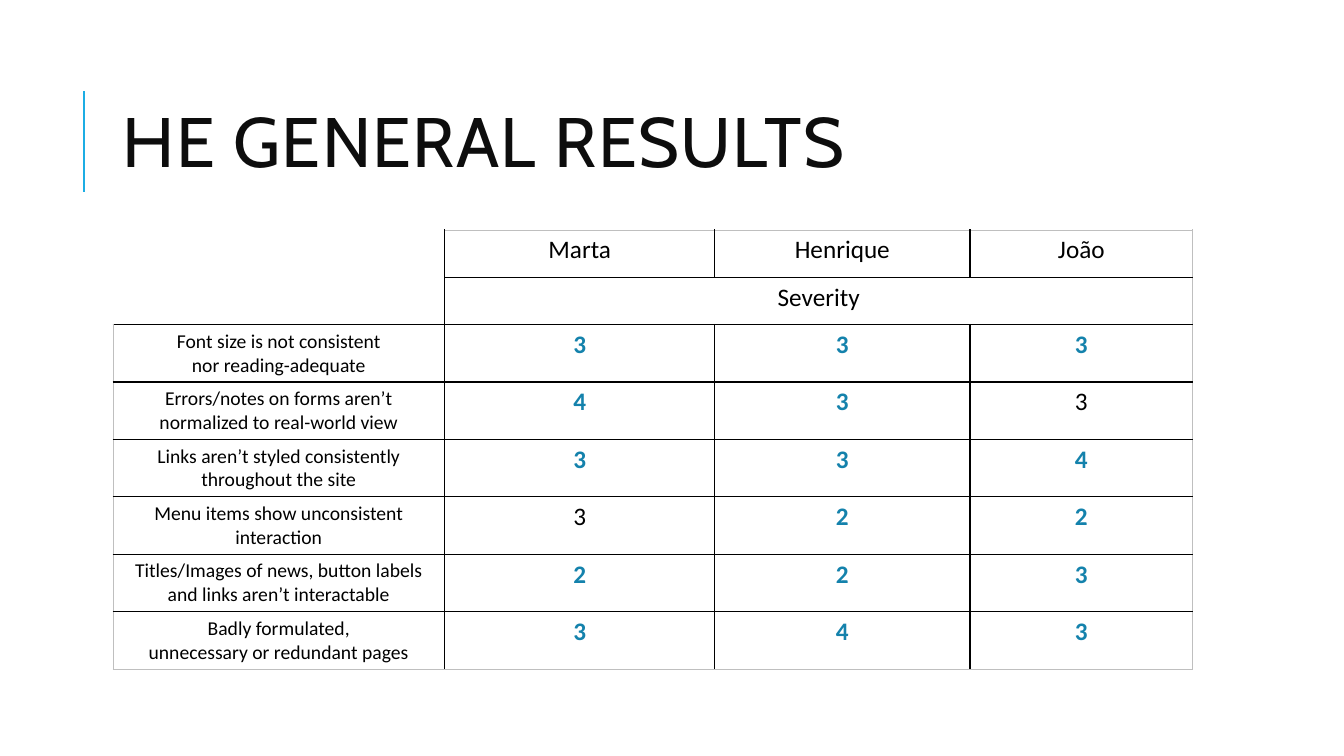
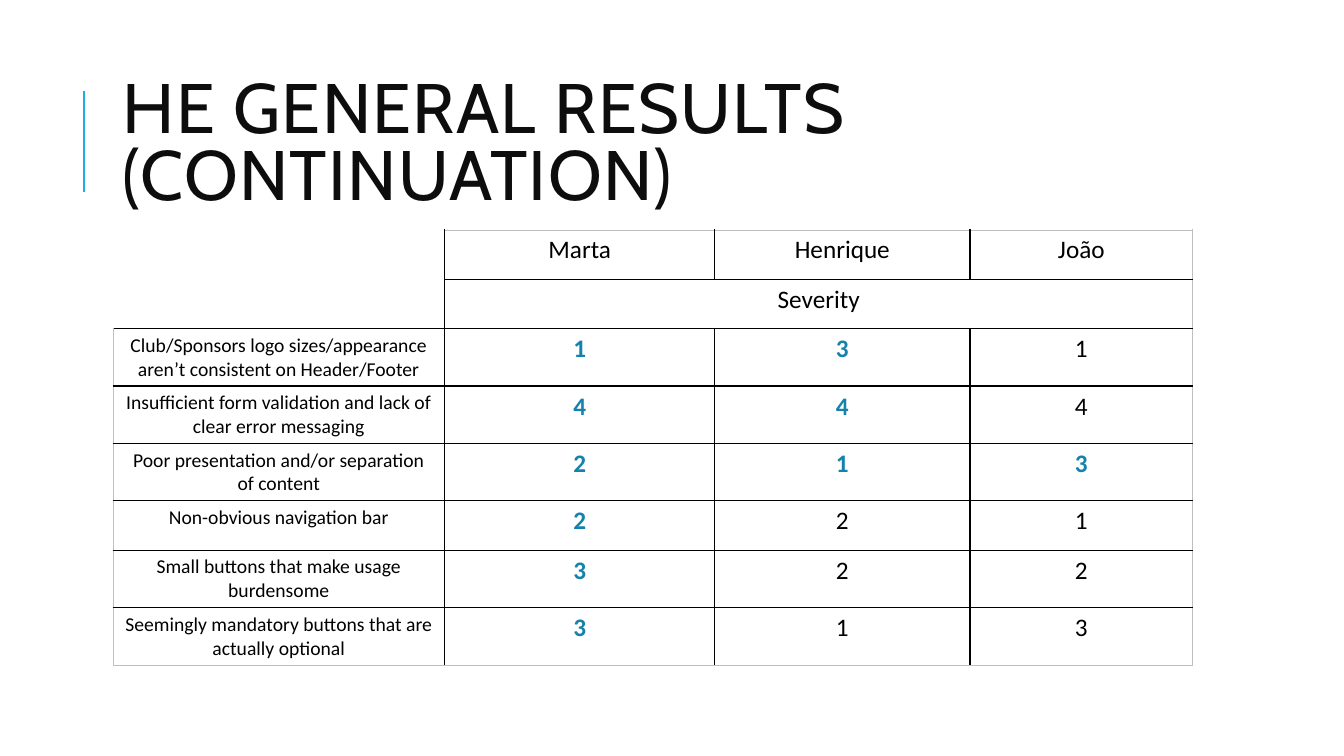
"""Build two slides of heuristic evaluation results with severity tables."""
from lxml import etree
from pptx import Presentation
from pptx.dml.color import RGBColor
from pptx.enum.shapes import MSO_CONNECTOR
from pptx.enum.text import MSO_ANCHOR, PP_ALIGN
from pptx.oxml.ns import qn
from pptx.util import Inches, Pt

STRAIGHT = MSO_CONNECTOR.STRAIGHT
MIDDLE = MSO_ANCHOR.MIDDLE
CENTER = PP_ALIGN.CENTER

COLORS = {"accent": "1CADE4", "title": "0D0D0D", "text": "000000",
          "agreed": "1482AC", "grid": "000000", "frame": "BFBFBF"}
FORMATS = {
    "title": {"name": "Cabin", "size": Pt(50), "bold": False},
    "header": {"name": "Calibri", "size": Pt(18), "bold": False},
    "issue": {"name": "Calibri", "size": Pt(14), "bold": False},
    "plain": {"name": "Calibri", "size": Pt(18), "bold": False},
    "agreed": {"name": "Calibri", "size": Pt(18), "bold": True},
}
NO_STYLE = "{2D5ABB26-0587-4C30-8999-92F81FD0307C}"
LEFT = Inches(1.12)
COLUMN_WIDTHS = [3.29, 2.68, 2.53, 2.21]
ISSUE_HEIGHT = 0.57
EVALUATORS = ["Marta", "Henrique", "João"]

RESULTS = [
    ("HE GENERAL RESULTS", 0.47, [
        ("Font size is not consistent\nnor reading-adequate", (3, 3, 3), []),
        ("Errors/notes on forms aren’t\vnormalized to real-world view", (4, 3, 3), ["João"]),
        ("Links aren’t styled consistently throughout the site", (3, 3, 4), []),
        ("Menu items show unconsistent\ninteraction", (3, 2, 2), ["Marta"]),
        ("Titles/Images of news, button labels and links aren’t interactable", (2, 2, 3), []),
        ("Badly formulated,\nunnecessary or redundant pages", (3, 4, 3), []),
    ]),
    ("HE GENERAL RESULTS (CONTINUATION)", 0.49, [
        ("Club/Sponsors logo sizes/appearance aren’t consistent on Header/Footer",
         (1, 3, 1), ["João"]),
        ("Insufficient form validation and lack of clear error messaging", (4, 4, 4), ["João"]),
        ("Poor presentation and/or separation of content", (2, 1, 3), []),
        ("Non-obvious navigation bar", (2, 2, 1), ["Henrique", "João"]),
        ("Small buttons that make usage burdensome", (3, 2, 2), ["Henrique", "João"]),
        ("Seemingly mandatory buttons that are actually optional", (3, 1, 3),
         ["Henrique", "João"]),
    ]),
]


def write(frame, text, style, color, **paragraph_format):
    frame.text = text
    for paragraph in frame.paragraphs:
        for key, value in paragraph_format.items():
            setattr(paragraph, key, value)
        for run in paragraph.runs:
            for key, value in FORMATS[style].items():
                setattr(run.font, key, value)
            run.font.color.rgb = RGBColor.from_string(COLORS[color])


def draw_border(cell, side, color, width):
    line = etree.SubElement(cell._tc.get_or_add_tcPr(), qn(f"a:ln{side}"), w=str(Pt(width)))
    if color is None:
        etree.SubElement(line, qn("a:noFill"))
    else:
        fill = etree.SubElement(line, qn("a:solidFill"))
        etree.SubElement(fill, qn("a:srgbClr"), val=COLORS[color])


deck = Presentation()
deck.slide_width, deck.slide_height = Inches(13.33), Inches(7.5)
blank = deck.slide_layouts[6]

for heading, header_height, issues in RESULTS:
    slide = deck.slides.add_slide(blank)

    rule = slide.shapes.add_connector(STRAIGHT, Inches(0.83), Inches(1.9),
                                      Inches(0.83), Inches(0.9))
    rule.line.color.rgb = RGBColor.from_string(COLORS["accent"])
    rule.line.width = Pt(1.5)
    etree.SubElement(rule._element.spPr, qn("a:effectLst"))

    title = slide.shapes.add_textbox(LEFT, Inches(0.64), Inches(10.63), Inches(1.64)).text_frame
    title.word_wrap = True
    title.vertical_anchor = MIDDLE
    write(title, heading, "title", "title", line_spacing=0.8)
    for run in title.paragraphs[0].runs:
        run.font._element.set("spc", "100")

    heights = [header_height] * 2 + [
        header_height if issue == "Non-obvious navigation bar" else ISSUE_HEIGHT
        for issue, _, _ in issues]
    row_count, column_count = len(heights), len(COLUMN_WIDTHS)
    table = slide.shapes.add_table(row_count, column_count, LEFT, Inches(2.28),
                                   Inches(sum(COLUMN_WIDTHS)), Inches(sum(heights))).table
    table.first_row = table.horz_banding = False
    table._tbl.tblPr.find(qn("a:tableStyleId")).text = NO_STYLE
    for column, width in zip(table.columns, COLUMN_WIDTHS):
        column.width = Inches(width)
    for row, height in zip(table.rows, heights):
        row.height = Inches(height)

    table.cell(0, 0).merge(table.cell(1, 0))
    table.cell(1, 1).merge(table.cell(1, column_count - 1))
    for c, evaluator in enumerate(EVALUATORS, 1):
        write(table.cell(0, c).text_frame, evaluator, "header", "text", alignment=CENTER)
    write(table.cell(1, 1).text_frame, "Severity", "header", "text", alignment=CENTER)
    for r, (issue, scores, plain) in enumerate(issues, 2):
        write(table.cell(r, 0).text_frame, issue, "issue", "text", alignment=CENTER)
        for c, (evaluator, score) in enumerate(zip(EVALUATORS, scores), 1):
            style, color = ("plain", "text") if evaluator in plain else ("agreed", "agreed")
            write(table.cell(r, c).text_frame, str(score), style, color, alignment=CENTER)

    for r in range(row_count):
        for c in range(column_count):
            cell = table.cell(r, c)
            if not cell.is_spanned:
                on_frame = {"L": c == 0, "R": c + cell.span_width == column_count,
                            "T": r == 0, "B": r + cell.span_height == row_count}
                for side, outer in on_frame.items():
                    if outer:
                        draw_border(cell, side, "frame" if r + c else None, 0.5)
                    else:
                        draw_border(cell, side, "grid", 1)
            cell.fill.background()

deck.save("out.pptx")
